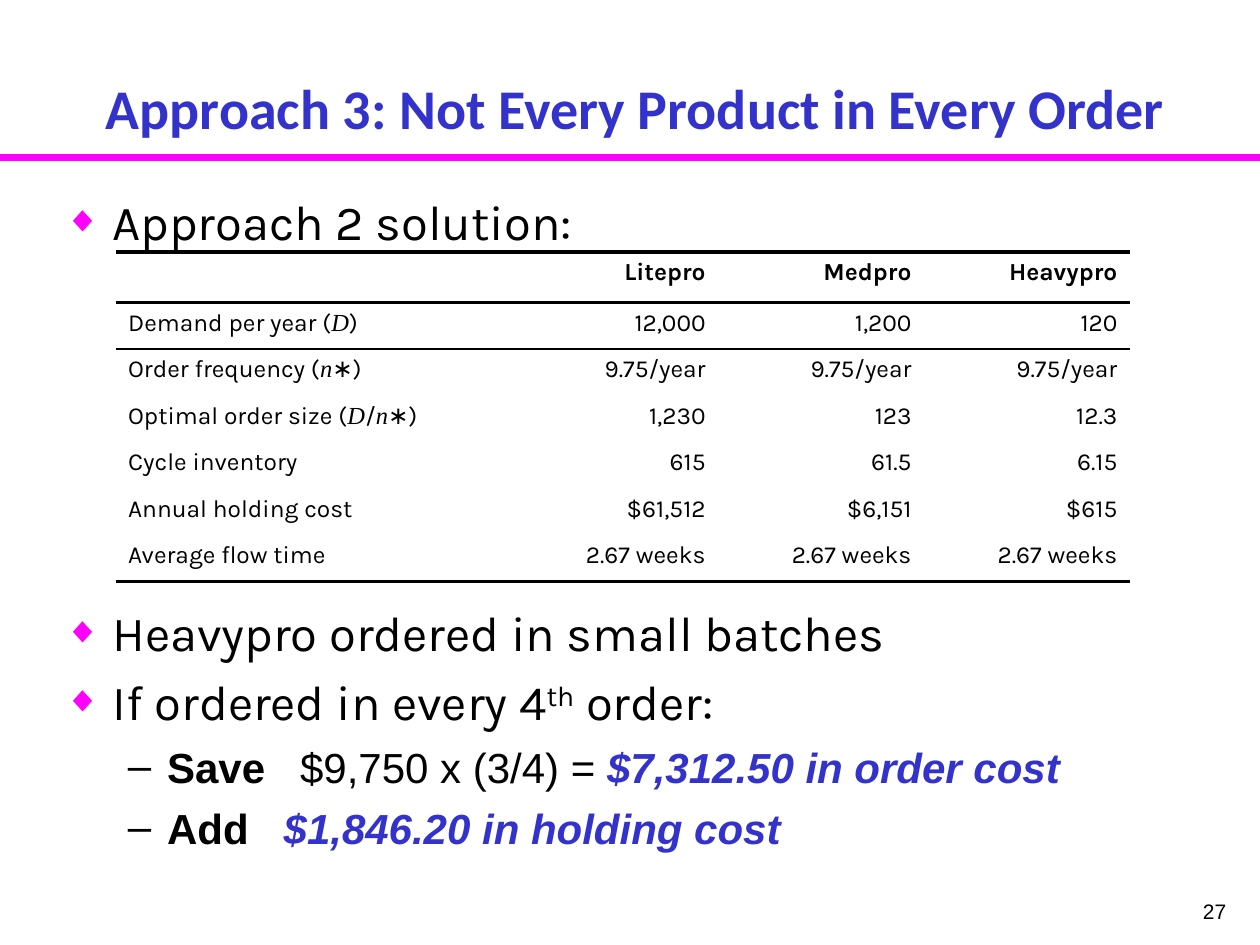
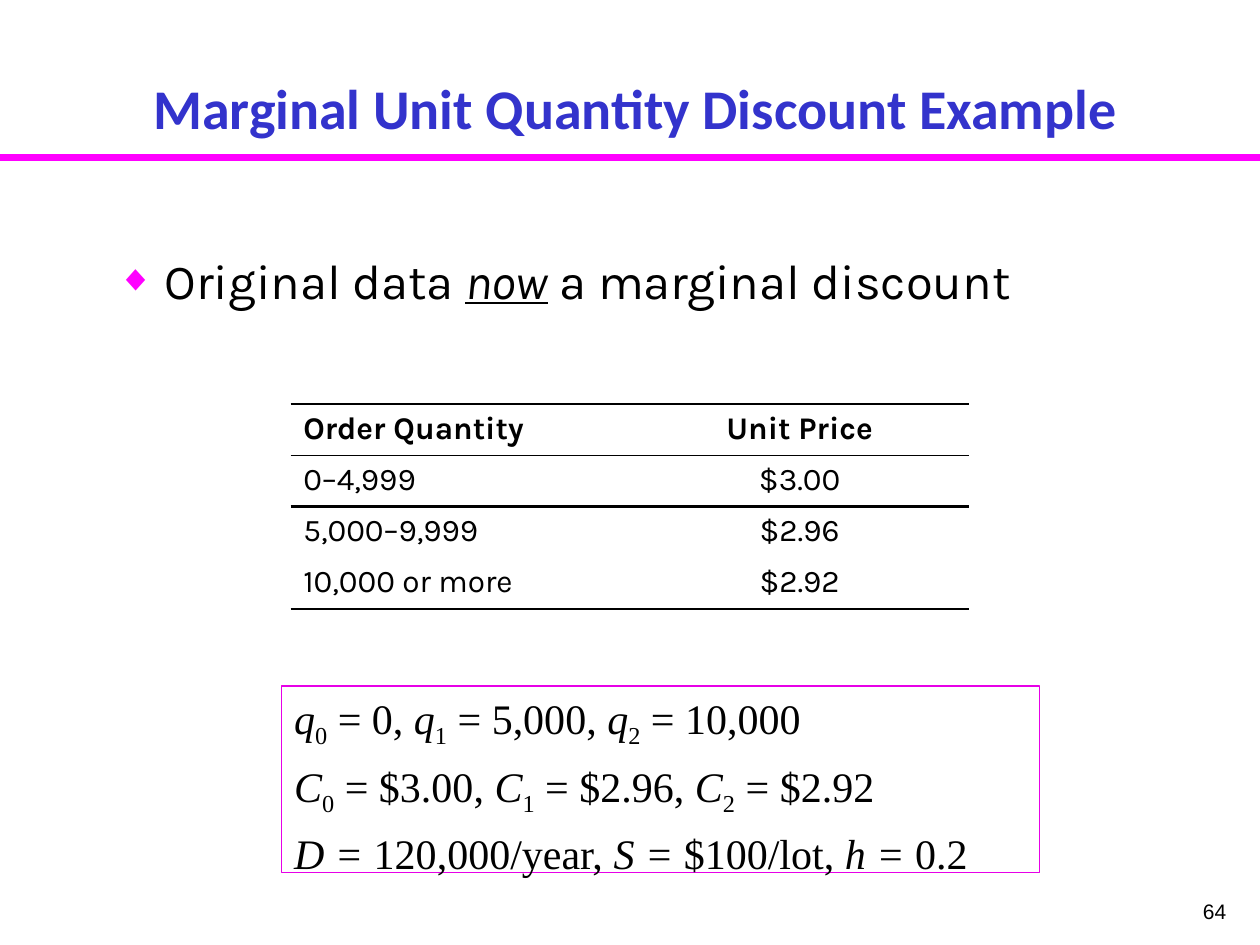
from lxml.etree import SubElement
from pptx import Presentation
from pptx.dml.color import RGBColor
from pptx.enum.shapes import MSO_CONNECTOR, MSO_SHAPE
from pptx.enum.text import MSO_ANCHOR, PP_ALIGN
from pptx.oxml.ns import qn
from pptx.util import Cm, Pt

BLUE, MAGENTA, BLACK, PURPLE = "3333CC", "FF00FF", "000000", "E700E7"
SLIDE_WIDTH, SLIDE_HEIGHT = 25.4, 19.05

TITLE = {"name": "Calibri", "size": 32, "color": BLUE, "bold": True}
BODY = {"name": "Karla", "size": 28, "color": BLACK}
DETAIL = {"name": "Arial", "size": 24, "color": BLACK}
FORMULA = {"name": "Times New Roman", "size": 24, "color": BLACK}
PAGE_NUMBER = {"name": "Arial", "size": 12, "color": BLACK}

BOLD = {"bold": True}
ITALIC = {"italic": True}
RESULT = {"bold": True, "italic": True, "color": BLUE}
SYMBOL = {"name": "Times New Roman", "italic": True}
SUPERSCRIPT = {"baseline": 30000}
SUBSCRIPT = {"baseline": -25000}
WIDE_SPACE = (" ", {"spc": 1330})

# character, colour, size in percent, text indent and hanging indent in cm
DIAMOND = ("◆", MAGENTA, 75, 0.96, 0.96)
DASH = ("–", BLACK, 100, 2.06, 0.79)


def rgb(value):
    return RGBColor.from_string(value)


def add_runs(paragraph, pieces, base):
    """Add pieces, each a text or a (text, changes to base) pair."""
    for piece in pieces:
        text, changes = (piece, {}) if isinstance(piece, str) else piece
        run = paragraph.add_run()
        run.text = text
        for key, value in {**base, **changes}.items():
            if key == "color":
                run.font.color.rgb = rgb(value)
            elif key == "size":
                run.font.size = Pt(value)
            elif key in ("baseline", "spc"):
                run._r.get_or_add_rPr().set(key, str(value))
            else:
                setattr(run.font, key, value)


def add_text_box(slide, box, anchor=MSO_ANCHOR.TOP):
    frame = slide.shapes.add_textbox(*map(Cm, box)).text_frame
    frame.word_wrap = True
    frame.vertical_anchor = anchor
    return frame


def add_paragraph(frame, index):
    return frame.add_paragraph() if index else frame.paragraphs[0]


def set_bullet(paragraph, bullet):
    character, color, percent, indent, hanging = bullet
    properties = paragraph._p.get_or_add_pPr()
    properties.set("marL", str(Cm(indent)))
    properties.set("indent", str(-Cm(hanging)))
    bullet_color = SubElement(properties, qn("a:buClr"))
    SubElement(bullet_color, qn("a:srgbClr"), val=color)
    SubElement(properties, qn("a:buSzPct"), val=str(percent * 1000))
    SubElement(properties, qn("a:buFont"), typeface="Arial")
    SubElement(properties, qn("a:buChar"), char=character)


def add_bullets(slide, box, items):
    """Write items of (bullet, base format, pieces)."""
    frame = add_text_box(slide, box)
    for index, (bullet, base, pieces) in enumerate(items):
        paragraph = add_paragraph(frame, index)
        set_bullet(paragraph, bullet)
        paragraph.space_before = Pt(6 if index else 0)
        add_runs(paragraph, pieces, base)


def add_single_line(slide, box, text, base, alignment, anchor=MSO_ANCHOR.TOP):
    paragraph = add_text_box(slide, box, anchor).paragraphs[0]
    paragraph.alignment = alignment
    add_runs(paragraph, [text], base)


def add_framed_slide(presentation, title, number):
    """Add a slide with the shared title, rule and page number."""
    slide = presentation.slides.add_slide(presentation.slide_layouts[6])
    rule = slide.shapes.add_connector(
        MSO_CONNECTOR.STRAIGHT, 0, Cm(3.18), Cm(SLIDE_WIDTH), Cm(3.18))
    rule.line.color.rgb = rgb(MAGENTA)
    rule.line.width = Pt(4)
    SubElement(rule._element.spPr, qn("a:effectLst"))
    add_single_line(slide, (1.06, 1.06, 23.5, 1.91), title, TITLE,
                    PP_ALIGN.CENTER, MSO_ANCHOR.BOTTOM)
    add_single_line(slide, (19.69, 17.98, 5.28, 1.07), str(number),
                    PAGE_NUMBER, PP_ALIGN.RIGHT)
    return slide


def set_borders(cell, top, bottom):
    """Draw top and bottom rules of the given widths; None hides a side."""
    properties = cell._tc.get_or_add_tcPr()
    sides = {"a:lnL": None, "a:lnR": None, "a:lnT": top, "a:lnB": bottom}
    for tag, width in sides.items():
        line = SubElement(properties, qn(tag), w=str(Pt(width or 0)))
        if width:
            fill = SubElement(line, qn("a:solidFill"))
            SubElement(fill, qn("a:srgbClr"), val=BLACK)
        else:
            SubElement(line, qn("a:noFill"))


def add_ruled_table(slide, box, widths, rows, size, alignment, rules):
    """Build a table; rules maps a row boundary, 0 at the top, to a width."""
    left, top, width, height = box
    table = slide.shapes.add_table(
        len(rows), len(widths), *map(Cm, box)).table
    table.first_row = table.horz_banding = False
    for column, column_width in zip(table.columns, widths):
        column.width = Cm(column_width)
    for row_index, row in enumerate(rows):
        table.rows[row_index].height = Cm(height / len(rows))
        base = {**BODY, "size": size, "bold": row_index == 0}
        for column_index, pieces in enumerate(row):
            cell = table.cell(row_index, column_index)
            set_borders(cell, rules.get(row_index), rules.get(row_index + 1))
            cell.fill.background()
            paragraph = cell.text_frame.paragraphs[0]
            paragraph.alignment = alignment if column_index else PP_ALIGN.LEFT
            paragraph.font.size = Pt(size)
            add_runs(paragraph,
                     [pieces] if isinstance(pieces, str) else pieces, base)


def indexed_values(letter, values):
    """Return pieces for a list such as q0 = 0, q1 = 5,000."""
    pieces = []
    for index, value in enumerate(values):
        ending = ", " if index < len(values) - 1 else ""
        pieces += [(letter, ITALIC), (str(index), SUBSCRIPT),
                   f" = {value}{ending}"]
    return pieces


def add_formula_box(slide, box, lines):
    shape = slide.shapes.add_shape(MSO_SHAPE.RECTANGLE, *map(Cm, box))
    shape.shadow.inherit = False
    shape.fill.background()
    shape.line.color.rgb = rgb(PURPLE)
    shape.line.width = Pt(0.75)
    frame = shape.text_frame
    frame.word_wrap = True
    frame.vertical_anchor = MSO_ANCHOR.TOP
    for index, pieces in enumerate(lines):
        paragraph = add_paragraph(frame, index)
        paragraph.alignment = PP_ALIGN.LEFT
        paragraph.space_after = Pt(6)
        add_runs(paragraph, pieces, FORMULA)


def build_order_slide(presentation):
    slide = add_framed_slide(
        presentation, "Approach 3: Not Every Product in Every Order", 27)
    add_bullets(slide, (1.06, 3.73, 23.06, 1.4),
                [(DIAMOND, BODY, ["Approach 2 solution:"])])
    demand, frequency = ("D", SYMBOL), ("n", SYMBOL)
    rows = [
        ("", "Litepro", "Medpro", "Heavypro"),
        (["Demand per year (", demand, ")"], "12,000", "1,200", "120"),
        (["Order frequency (", frequency, "∗)"], *["9.75/year"] * 3),
        (["Optimal order size (", demand, "/", frequency, "∗)"],
         "1,230", "123", "12.3"),
        ("Cycle inventory", "615", "61.5", "6.15"),
        ("Annual holding cost", "$61,512", "$6,151", "$615"),
        ("Average flow time", *["2.67 weeks"] * 3),
    ]
    add_ruled_table(slide, (2.33, 5.08, 20.45, 6.56), [8, *[4.15] * 3], rows,
                    14, PP_ALIGN.RIGHT, {0: 2.25, 1: 1.5, 2: 1, 7: 2.25})
    add_bullets(slide, (1.06, 12.02, 23.06, 6), [
        (DIAMOND, BODY, ["Heavypro ordered in small batches"]),
        (DIAMOND, BODY, ["If ordered in every 4", ("th", SUPERSCRIPT),
                         " order:"]),
        (DASH, DETAIL, [("Save", BOLD), WIDE_SPACE, "$9,750 x (3/4) = ",
                        ("$7,312.50 in order cost", RESULT)]),
        (DASH, DETAIL, [("Add", BOLD), WIDE_SPACE,
                        ("$1,846.20 in holding cost", RESULT)]),
    ])


def build_discount_slide(presentation):
    slide = add_framed_slide(
        presentation, "Marginal Unit Quantity Discount Example", 64)
    add_bullets(slide, (2.11, 4.93, 21.41, 1.98), [
        (DIAMOND, BODY, ["Original data ",
                         ("now", {"italic": True, "underline": True}),
                         " a marginal discount"])])
    rows = [
        ("Order Quantity", "Unit Price"),
        ("0–4,999", "$3.00"),
        ("5,000–9,999", "$2.96"),
        ("10,000 or more", "$2.92"),
    ]
    add_ruled_table(slide, (5.86, 8.15, 13.68, 4.12), [6.84] * 2, rows,
                    18, PP_ALIGN.CENTER, {0: 1.5, 1: 1, 2: 1.5, 4: 1.5})
    add_formula_box(slide, (5.68, 13.83, 15.28, 3.76), [
        indexed_values("q", ["0", "5,000", "10,000"]),
        indexed_values("C", ["$3.00", "$2.96", "$2.92"]),
        [("D =", ITALIC), " 120,000/year, ", ("S =", ITALIC),
         " $100/lot, ", ("h =", ITALIC), " 0.2"],
    ])


def main():
    presentation = Presentation()
    presentation.slide_width = Cm(SLIDE_WIDTH)
    presentation.slide_height = Cm(SLIDE_HEIGHT)
    build_order_slide(presentation)
    build_discount_slide(presentation)
    presentation.save("out.pptx")


if __name__ == "__main__":
    main()
